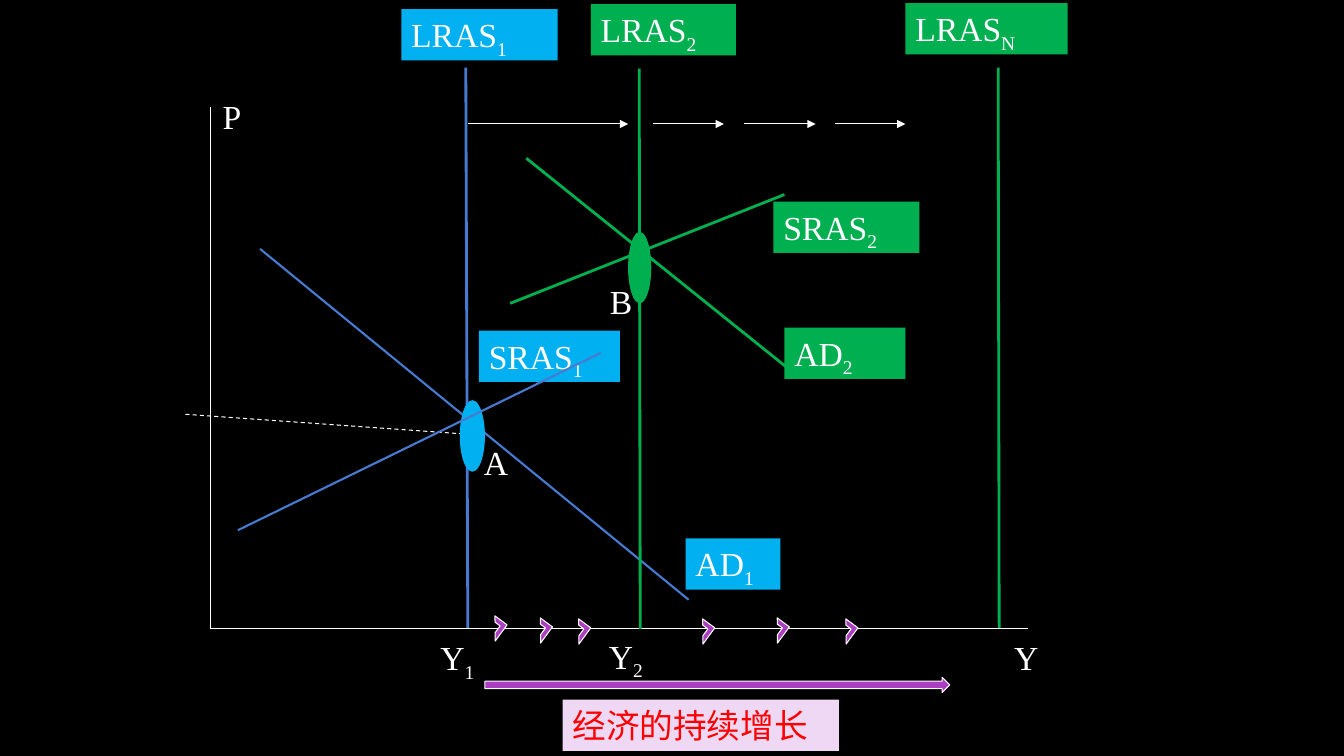
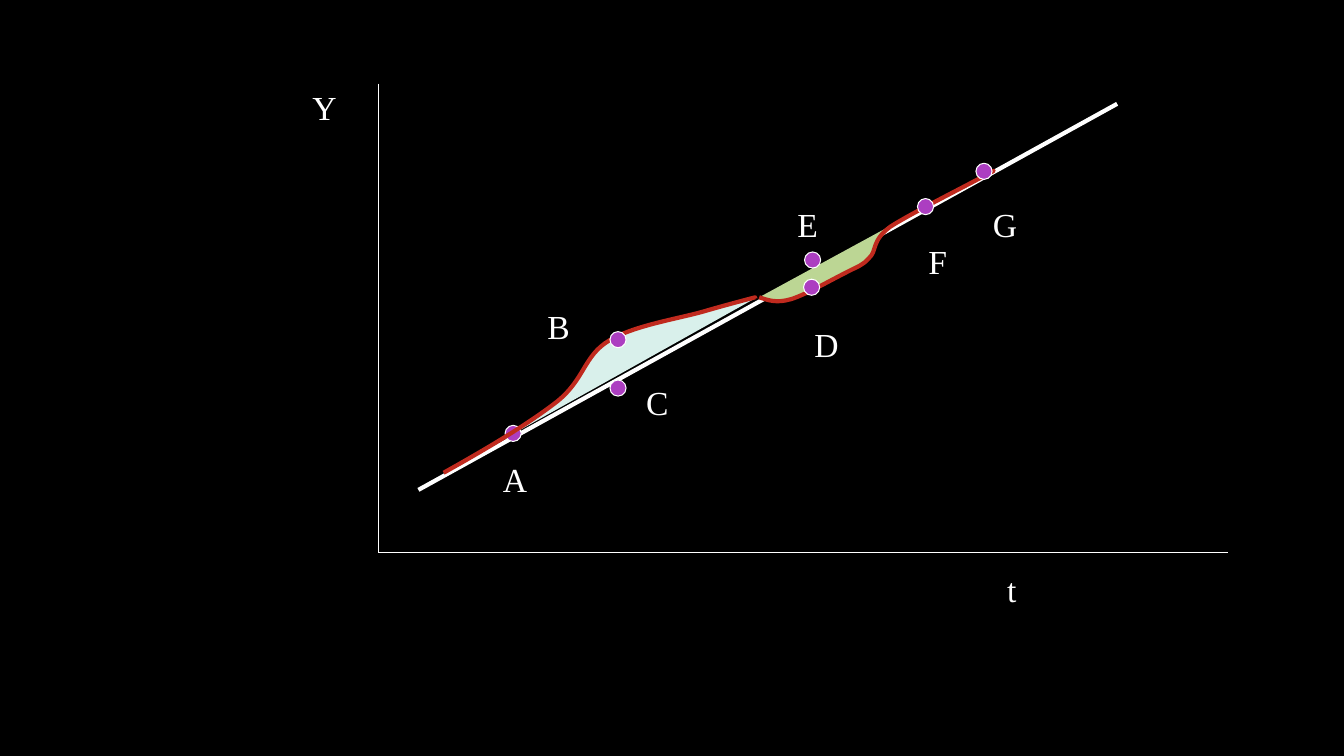
from dataclasses import dataclass

from lxml.etree import SubElement
from pptx import Presentation
from pptx.dml.color import RGBColor
from pptx.enum.dml import MSO_LINE
from pptx.enum.shapes import MSO_CONNECTOR, MSO_SHAPE
from pptx.enum.text import MSO_AUTO_SIZE
from pptx.oxml.ns import qn
from pptx.util import Inches, Pt


@dataclass(frozen=True)
class Theme:
    """Colours, type and line weights shared by the slides."""
    ground: str = "000000"
    ink: str = "FFFFFF"
    sky: str = "00B0F0"
    blue: str = "477BD1"
    green: str = "00B050"
    purple: str = "AC3EC1"
    lilac: str = "EED8F3"
    red: str = "FF0000"
    cycle: str = "C02A1E"
    boom: str = "D9F0EB"
    slump: str = "BCD694"
    font: str = "Times New Roman"
    size: float = 24
    thin: float = 0.75
    bold: float = 3


@dataclass(frozen=True)
class Economy:
    """One equilibrium: its curves, point and label positions in plot cells."""
    mark: str
    letter: str
    tone: str
    curve: str
    weight: float
    lras: tuple
    demand: tuple
    supply: tuple
    point: tuple
    letter_at: tuple
    tags: dict
    output_at: tuple


THEME = Theme()
ROWS = 7.5
ROW_HEIGHT = 0.51


def rgb(colour):
    """Turn a hex string into a colour."""
    return RGBColor.from_string(colour)


def paint(shape, fill, line=None, weight=THEME.thin):
    """Give a shape a flat fill and an optional outline."""
    shape.shadow.inherit = False
    shape.fill.solid()
    shape.fill.fore_color.rgb = rgb(fill)
    if line:
        shape.line.color.rgb = rgb(line)
        shape.line.width = Pt(weight)
    else:
        shape.line.fill.background()


def bend(shape, count):
    """Join the first corners of an outline, three by three, into cubic curves."""
    outline = shape._element.find(".//" + qn("a:path"))
    corners = outline.findall(qn("a:lnTo"))
    for first in range(0, 3 * count, 3):
        curve = SubElement(outline, qn("a:cubicBezTo"))
        corners[first].addprevious(curve)
        for corner in corners[first:first + 3]:
            curve.append(corner[0])
            outline.remove(corner)


class Plot:
    """A pair of axes; places are cells right of and above their origin."""

    def __init__(self, slide, cell, box):
        """Draw the axes along the left and bottom of the box."""
        self.shapes, self.cell = slide.shapes, cell
        left, top, width, height = box
        self.left, self.base = left, top + height
        self.line((0, height), (0, 0))
        self.line((0, 0), (width, 0))

    def place(self, x, y):
        """Turn plot cells into slide lengths."""
        return round((self.left + x) * self.cell), round((self.base - y) * self.cell)

    def frame(self, x, y, width, height):
        """Turn a top-left place and a size in cells into slide lengths."""
        return *self.place(x, y), round(width * self.cell), round(height * self.cell)

    def line(self, start, end, colour=THEME.ink, weight=THEME.thin, dash=None, arrow=False):
        """Draw a straight line, dashed or with an arrowhead if asked."""
        stroke = self.shapes.add_connector(MSO_CONNECTOR.STRAIGHT, *self.place(*start), *self.place(*end))
        stroke.line.color.rgb = rgb(colour)
        stroke.line.width = Pt(weight)
        if dash:
            stroke.line.dash_style = dash
        if arrow:
            SubElement(stroke.line._get_or_add_ln(), qn("a:tailEnd"), type="triangle")
        SubElement(stroke._element.spPr, qn("a:effectLst"))

    def label(self, text, x, y, width, mark="", fill=None, colour=THEME.ink):
        """Write a label with an optional subscript and fill."""
        tag = self.shapes.add_textbox(*self.frame(x, y, width, ROW_HEIGHT))
        if fill:
            paint(tag, fill)
        words = tag.text_frame
        words.word_wrap = True
        words.auto_size = MSO_AUTO_SIZE.SHAPE_TO_FIT_TEXT
        for piece, baseline in ((text, None), (mark, "-25000")):
            if piece:
                run = words.paragraphs[0].add_run()
                run.text = piece
                run.font.name, run.font.size = THEME.font, Pt(THEME.size)
                run.font.color.rgb = rgb(colour)
                if baseline:
                    run._r.get_or_add_rPr().set("baseline", baseline)

    def figure(self, preset, x, y, width, height, fill, line=None, turn=0):
        """Place a preset shape by its top-left corner."""
        mark = self.shapes.add_shape(preset, *self.frame(x, y, width, height))
        mark.rotation = turn
        paint(mark, fill, line)

    def dot(self, x, y, size=0.16):
        """Place a point by its centre."""
        self.figure(MSO_SHAPE.OVAL, x - size / 2, y + size / 2, size, size, THEME.purple, THEME.ink)

    def wave(self, start, bends, tail, fill):
        """Draw an open outline of cubic bends that ends in a straight tail."""
        outline = self.shapes.build_freeform(*self.place(*start))
        corners = [corner for curve in bends for corner in curve] + [tail]
        outline.add_line_segments([self.place(*corner) for corner in corners], close=False)
        swing = outline.convert_to_shape()
        bend(swing, len(bends))
        paint(swing, fill, THEME.cycle, THEME.bold)


ECONOMIES = (
    Economy("1", "A", THEME.sky, THEME.blue, 1.5,
            ((2.53, 5.57), (2.55, 0.01)), ((4.74, 0.29), (0.49, 3.77)), ((3.87, 2.74), (0.27, 0.98)),
            (2.47, 2.27, 0.25), (2.61, 1.91),
            {"LRAS": (1.89, 6.15, 1.55), "AD": (4.71, 0.9, 0.94), "SRAS": (2.66, 2.96, 1.4)},
            (2.18, -0.03, 1.07)),
    Economy("2", "B", THEME.green, THEME.green, 2,
            ((4.25, 5.56), (4.26, 0)), ((5.77, 2.55), (3.13, 4.67)), ((5.69, 4.31), (2.97, 3.23)),
            (4.14, 3.94, 0.23), (3.86, 3.5),
            {"LRAS": (3.77, 6.2, 1.44), "AD": (5.69, 2.99, 1.2), "SRAS": (5.58, 4.24, 1.45)},
            (3.85, -0.02, 1.24)),
)


def draw_economy(plot, economy):
    """Draw one equilibrium with its curves and labels."""
    plot.line(*economy.lras, economy.curve, 2)
    plot.line(*economy.demand, economy.curve, economy.weight)
    for text, spot in economy.tags.items():
        plot.label(text, *spot, economy.mark, economy.tone)
    plot.label("Y", *economy.output_at, economy.mark)
    plot.label(economy.letter, *economy.letter_at, 0.51)
    plot.figure(MSO_SHAPE.OVAL, *economy.point, 0.71, economy.tone)
    plot.line(*economy.supply, economy.curve, economy.weight)


def growth_slide(slide, cell, box):
    """Show long-run supply moving right as the economy grows."""
    plot = Plot(slide, cell, box)
    plot.line((2.72, 1.92), (-0.25, 2.13), dash=MSO_LINE.DASH)
    for economy in ECONOMIES:
        draw_economy(plot, economy)
    plot.line((7.81, 5.57), (7.82, 0.01), THEME.green, 2)
    plot.label("LRAS", 6.89, 6.21, 1.61, "N", THEME.green)
    for start, end in ((2.55, 4.14), (4.39, 5.09), (5.29, 6), (6.19, 6.89)):
        plot.line((start, 5.01), (end, 5.01), arrow=True)
    for x, y in ((2.72, 0.08), (3.17, 0.06), (3.55, 0.05), (4.78, 0.05), (5.52, 0.06), (6.2, 0.05)):
        plot.figure(MSO_SHAPE.HALF_FRAME, x, y, 0.2, 0.15, THEME.purple, THEME.ink, 126.3)
    plot.label("经济的持续增长", 3.49, -0.7, 2.74, fill=THEME.lilac, colour=THEME.red)
    plot.figure(MSO_SHAPE.RIGHT_ARROW, 2.72, -0.48, 4.61, 0.15, THEME.purple, THEME.ink)
    plot.label("Y", 7.87, -0.03, 0.76)
    plot.label("P", 0.02, 5.34, 0.76)


BOOM = (
    ((1.08, 1.03), (1.5, 1.28), (1.78, 1.5)),
    ((2.05, 1.72), (2.04, 1.95), (2.29, 2.1)),
    ((2.53, 2.25), (2.99, 2.32), (3.23, 2.39)),
    ((3.47, 2.46), (3.74, 2.53), (3.74, 2.53)),
)
SLUMP = (
    ((3.87, 2.5), (3.95, 2.47), (4.09, 2.51)),
    ((4.23, 2.55), (4.49, 2.7), (4.63, 2.77)),
    ((4.76, 2.84), (4.8, 2.84), (4.87, 2.92)),
    ((4.95, 2.99), (4.89, 3.09), (5.08, 3.23)),
    ((5.28, 3.36), (5.88, 3.66), (6.04, 3.75)),
    ((6.2, 3.83), (6.02, 3.75), (6.02, 3.75)),
)
STAGES = {
    "B": ((2.38, 2.11), (1.58, 2.49)),
    "C": ((2.38, 1.63), (2.56, 1.74)),
    "D": ((4.3, 2.63), (4.23, 2.32)),
    "E": ((4.31, 2.9), (4.06, 3.51)),
    "F": ((5.43, 3.43), (5.36, 3.14)),
    "G": ((6.01, 3.78), (6, 3.51)),
}


def cycle_slide(slide, cell, box):
    """Show output swinging around its growth trend."""
    plot = Plot(slide, cell, box)
    plot.line((0.4, 0.62), (7.33, 4.45), weight=THEME.bold)
    plot.label("Y", -0.75, 4.67, 0.76)
    plot.label("t", 6.14, -0.11, 0.76)
    plot.dot(1.34, 1.18)
    plot.label("A", 1.14, 0.98, 0.48)
    plot.wave((0.65, 0.79), BOOM, (3.74, 2.52), THEME.boom)
    plot.wave((3.78, 2.53), SLUMP, (6.02, 3.75), THEME.slump)
    for letter, (point, spot) in STAGES.items():
        plot.dot(*point)
        plot.label(letter, *spot, 0.5)


def main():
    """Build and save the deck."""
    deck = Presentation()
    deck.slide_width, deck.slide_height = Inches(13.33), Inches(ROWS)
    ground = deck.slide_master.background.fill
    ground.solid()
    ground.fore_color.rgb = rgb(THEME.ground)
    blank = deck.slide_layouts[6]
    cell = deck.slide_height / ROWS
    growth_slide(deck.slides.add_slide(blank), cell, (2.09, 1.06, 8.11, 5.18))
    cycle_slide(deck.slides.add_slide(blank), cell, (3.75, 0.83, 8.43, 4.65))
    deck.save("out.pptx")


if __name__ == "__main__":
    main()
